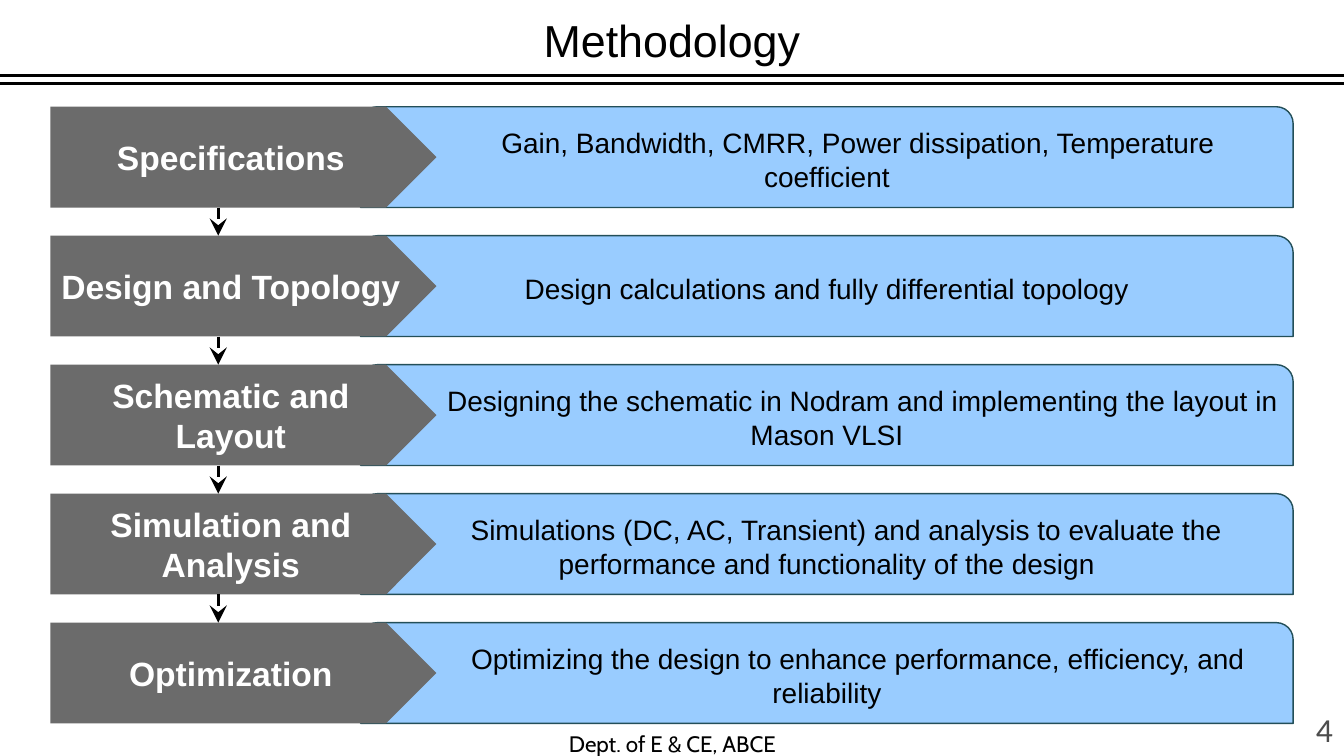
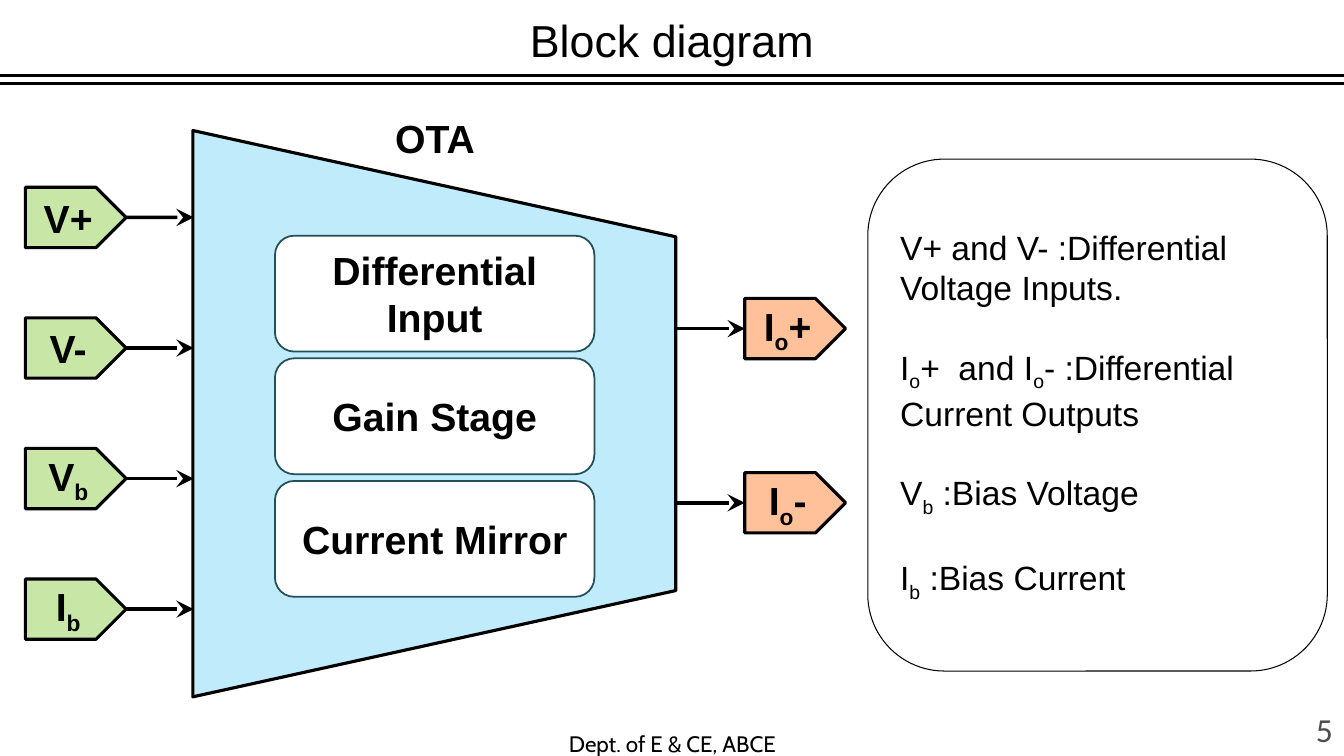
from dataclasses import dataclass

from lxml.etree import SubElement
from pptx import Presentation
from pptx.dml.color import RGBColor
from pptx.enum.shapes import MSO_CONNECTOR, MSO_SHAPE
from pptx.enum.text import MSO_ANCHOR, PP_ALIGN
from pptx.oxml.ns import qn
from pptx.util import Cm, Pt

BLACK = RGBColor(0x00, 0x00, 0x00)
WHITE = RGBColor(0xFF, 0xFF, 0xFF)
PAGE_GREY = RGBColor(0x4D, 0x4D, 0x4D)
STEP_GREY = RGBColor(0x6B, 0x6B, 0x6B)
BAR_BLUE = RGBColor(0x99, 0xCC, 0xFF)
TEAL = RGBColor(0x23, 0x4F, 0x58)
OTA_BLUE = RGBColor(0x00, 0xB0, 0xF0)
INPUT_GREEN = RGBColor(0x92, 0xD0, 0x50)
OUTPUT_ORANGE = RGBColor(0xFF, 0x66, 0x00)

SLIDE_W, SLIDE_H = 33.87, 19.05
FOOTER = "Dept. of E & CE, ABCE"


@dataclass(frozen=True)
class Box:
    x: float
    y: float
    w: float
    h: float

    def down(self, distance: float) -> "Box":
        return Box(self.x, self.y + distance, self.w, self.h)


@dataclass(frozen=True)
class Step:
    name: str
    detail: str
    indent: float = 0


@dataclass(frozen=True)
class PortColumn:
    labels: tuple[str, ...]
    first: Box
    pitch: float
    color: RGBColor
    opacity: int
    is_input: bool


STEPS = (
    Step("Specifications",
         "Gain, Bandwidth, CMRR, Power dissipation, Temperature coefficient", 1.57),
    Step("Design and Topology", "Design calculations and fully differential topology"),
    Step("Schematic and Layout",
         "Designing the schematic in Nodram and implementing the layout in Mason VLSI", 1.8),
    Step("Simulation and Analysis",
         "Simulations (DC, AC, Transient) and analysis to evaluate the performance "
         "and functionality of the design", 0.98),
    Step("Optimization",
         "Optimizing the design to enhance performance, efficiency, and reliability", 1.57),
)
STEP_PITCH = 3.25
STEP_HEAD = Box(1.27, 2.69, 9.73, 2.54)
STEP_BAR = Box(9.09, 2.69, 23.5, 2.54)

PORTS = (
    PortColumn(("V+", "V-", "V_b", "I_b"), Box(0.64, 4.72, 2.54, 1.52), 3.29,
               INPUT_GREEN, 50, True),
    PortColumn(("I_o+", "I_o-"), Box(18.77, 7.52, 2.54, 1.52), 4.39,
               OUTPUT_ORANGE, 40, False),
)
PORT_WIRE = 1.7

STAGES = ("Differential Input", "Gain Stage", "Current Mirror")
STAGE_BOX = Box(6.93, 5.94, 8.05, 2.92)
STAGE_PITCH = 3.09

LEGEND = (
    "V+ and V- :Differential Voltage Inputs.",
    "I_o+  and I_o- :Differential Current Outputs",
    "V_b :Bias Voltage",
    "I_b :Bias Current",
)


def add_text(sp, *paragraphs: str, size: float, font: str = "Arial",
             color: RGBColor = BLACK, bold: bool = False,
             align: PP_ALIGN = PP_ALIGN.CENTER,
             anchor: MSO_ANCHOR = MSO_ANCHOR.MIDDLE,
             indent: float = 0, gap: float = 0) -> None:
    tf = sp.text_frame
    tf.word_wrap = True
    tf.vertical_anchor = anchor
    for i, text in enumerate(paragraphs):
        p = tf.add_paragraph() if i else tf.paragraphs[0]
        p.alignment = align
        if i and gap:
            p.space_before = Pt(gap)
        if indent:
            p._p.get_or_add_pPr().set("indent", str(Cm(indent)))
        plain, *marked = text.split("_")
        pieces = [(plain, False)]
        for part in marked:
            pieces += [(part[:1], True), (part[1:], False)]
        for piece, subscript in pieces:
            if not piece:
                continue
            r = p.add_run()
            r.text = piece
            r.font.name = font
            r.font.size = Pt(size)
            r.font.bold = bold
            r.font.color.rgb = color
            if subscript:
                r._r.get_or_add_rPr().set("baseline", "-25000")


def add_box(s, kind: MSO_SHAPE, box: Box, fill: RGBColor | None = None,
            opacity: int = 100, line: RGBColor | None = None, width: float = 1):
    sp = s.shapes.add_shape(kind, Cm(box.x), Cm(box.y), Cm(box.w), Cm(box.h))
    sp.shadow.inherit = False
    if fill is None:
        sp.fill.background()
    else:
        sp.fill.solid()
        sp.fill.fore_color.rgb = fill
        if opacity < 100:
            clr = sp._element.spPr.find(qn("a:solidFill")).find(qn("a:srgbClr"))
            SubElement(clr, qn("a:alpha")).set("val", str(opacity * 1000))
    if line is None:
        sp.line.fill.background()
    else:
        sp.line.color.rgb = line
        sp.line.width = Pt(width)
    return sp


def add_line(s, x1: float, y1: float, x2: float, y2: float,
             width: float = 2, arrow: bool = False):
    cxn = s.shapes.add_connector(MSO_CONNECTOR.STRAIGHT, Cm(x1), Cm(y1), Cm(x2), Cm(y2))
    cxn.line.color.rgb = BLACK
    cxn.line.width = Pt(width)
    if arrow:
        tail = SubElement(cxn.line._get_or_add_ln(), qn("a:tailEnd"))
        for name, value in (("type", "stealth"), ("w", "lg"), ("len", "lg")):
            tail.set(name, value)
    SubElement(cxn._element.spPr, qn("a:effectLst"))
    return cxn


def add_framed_slide(prs, title: str, number: int):
    s = prs.slides.add_slide(prs.slide_layouts[6])
    sp = add_box(s, MSO_SHAPE.ROUNDED_RECTANGLE, Box(0, 0, SLIDE_W, 2.01), WHITE)
    add_text(sp, title, size=32)
    for y in (1.9, 2.1):
        add_line(s, 0, y, SLIDE_W, y)
    sp = s.shapes.add_textbox(Cm(9.96), Cm(18.41), Cm(13.97), Cm(0.64))
    add_text(sp, FOOTER, size=16, font="Cabin")
    sp = add_box(s, MSO_SHAPE.RECTANGLE, Box(32.21, 17.73, 1.63, 1.27), WHITE)
    add_text(sp, str(number), size=24, font="Calibri", color=PAGE_GREY,
             align=PP_ALIGN.RIGHT, anchor=MSO_ANCHOR.BOTTOM)
    return s


def build_methodology(prs) -> None:
    s = add_framed_slide(prs, "Methodology", 4)
    heads = []
    for i, step in enumerate(STEPS):
        bar = add_box(s, MSO_SHAPE.ROUND_2_SAME_RECTANGLE, STEP_BAR.down(i * STEP_PITCH),
                      BAR_BLUE, line=TEAL)
        add_text(bar, step.detail, size=20, indent=step.indent)
        head = add_box(s, MSO_SHAPE.PENTAGON, STEP_HEAD.down(i * STEP_PITCH), STEP_GREY)
        add_text(head, step.name, size=24, color=WHITE, bold=True)
        heads.append(head)
    x = STEP_HEAD.x + (STEP_HEAD.w - STEP_HEAD.h / 2) / 2
    for upper, lower in zip(heads, heads[1:]):
        cxn = add_line(s, x, 0, x, 1, 2.5, arrow=True)
        cxn.begin_connect(upper, 2)
        cxn.end_connect(lower, 0)
        cxn.begin_x = cxn.end_x = Cm(x)


def add_ports(s, column: PortColumn) -> None:
    for i, label in enumerate(column.labels):
        box = column.first.down(i * column.pitch)
        tag = add_box(s, MSO_SHAPE.PENTAGON, box, column.color, column.opacity, BLACK, 2.25)
        add_text(tag, label, size=28, bold=True)
        start = box.x + box.w if column.is_input else box.x - PORT_WIRE
        y = box.y + box.h / 2
        cxn = add_line(s, start, y, start + PORT_WIRE, y, 2.5, arrow=True)
        if column.is_input:
            cxn.begin_connect(tag, 3)
        else:
            cxn.end_connect(tag, 1)


def build_block_diagram(prs) -> None:
    s = add_framed_slide(prs, "Block diagram", 5)
    legend = add_box(s, MSO_SHAPE.ROUNDED_RECTANGLE, Box(21.87, 4.01, 11.58, 12.9),
                     WHITE, line=BLACK, width=0.75)
    add_text(legend, *LEGEND, size=24, align=PP_ALIGN.LEFT, gap=28)
    ota = add_box(s, MSO_SHAPE.TRAPEZOID, Box(3.81, 4.34, 14.27, 12.17),
                  OTA_BLUE, 25, BLACK, 2.25)
    ota.rotation = 90
    ota.adjustments[0] = 0.22
    for i, name in enumerate(STAGES):
        stage = add_box(s, MSO_SHAPE.ROUNDED_RECTANGLE, STAGE_BOX.down(i * STAGE_PITCH),
                        WHITE, line=TEAL, width=1.25)
        add_text(stage, name, size=28, bold=True)
    for column in PORTS:
        add_ports(s, column)
    label = add_box(s, MSO_SHAPE.ROUNDED_RECTANGLE, Box(9.02, 2.01, 3.89, 2.92))
    add_text(label, "OTA", size=28, bold=True)


def main() -> None:
    prs = Presentation()
    prs.slide_width, prs.slide_height = Cm(SLIDE_W), Cm(SLIDE_H)
    build_methodology(prs)
    build_block_diagram(prs)
    prs.save("out.pptx")


if __name__ == "__main__":
    main()
